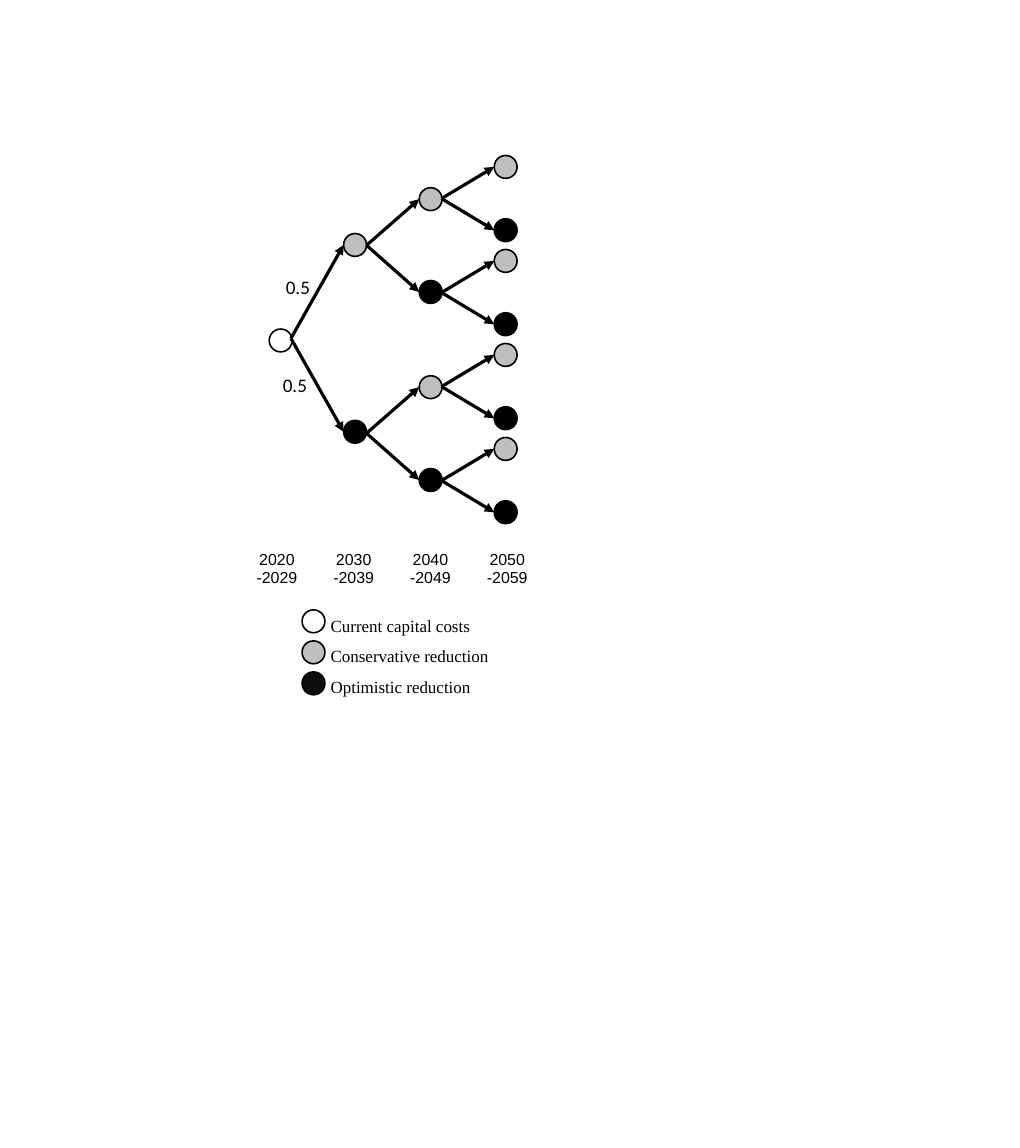
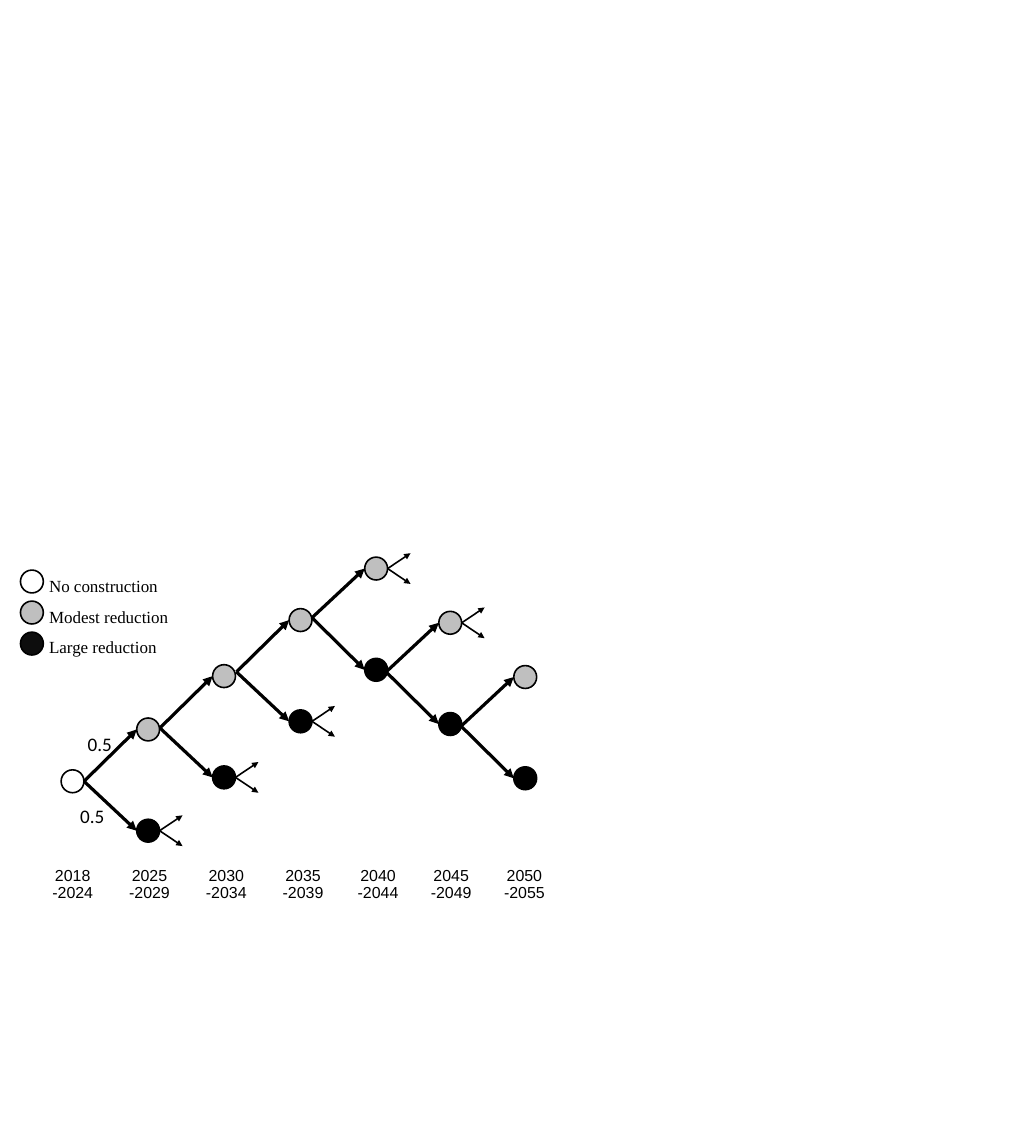
import dataclasses

import lxml.etree
import pptx
import pptx.dml.color
import pptx.enum.shapes
import pptx.enum.text
import pptx.oxml.ns
import pptx.util

Cm = pptx.util.Cm
Pt = pptx.util.Pt
RGB = pptx.dml.color.RGBColor


@dataclasses.dataclass(frozen=True)
class Theme:
    """Colours, fonts and sizes shared by both scenario trees."""
    ink: RGB = RGB(0, 0, 0)
    grey: RGB = RGB(0xBF, 0xBF, 0xBF)
    legend_black: RGB = RGB(0x0D, 0x0D, 0x0D)
    period: tuple = ("Arial", Pt(15))
    legend: tuple = ("Times New Roman", Pt(16))
    chance: tuple = ("Calibri", Pt(18))
    thin: int = Pt(1.5)
    thick: int = Pt(3)


theme = Theme()

# Lengths in centimetres
NODE = 0.76          # diameter of a node
REACH = 2.13         # from the apex of a fork to the centres of its children
STUB = (0.76, 0.51)  # run and rise of the short continuation arrows
LEGEND_STEP = 1.03


def draw_node(shapes, x, y, fill):
    """Draw a round node centred on x, y; no fill leaves it hollow."""
    node = shapes.add_shape(
        pptx.enum.shapes.MSO_SHAPE.OVAL,
        Cm(x - NODE / 2), Cm(y - NODE / 2), Cm(NODE), Cm(NODE))
    node.shadow.inherit = False
    if fill is None:
        node.fill.background()
    else:
        node.fill.solid()
        node.fill.fore_color.rgb = fill
    node.line.color.rgb = theme.ink
    node.line.width = theme.thin


def draw_arrow(shapes, start, end, width):
    """Draw a straight arrow with a triangular head at its end."""
    arrow = shapes.add_connector(
        pptx.enum.shapes.MSO_CONNECTOR.STRAIGHT,
        Cm(start[0]), Cm(start[1]), Cm(end[0]), Cm(end[1]))
    arrow.line.color.rgb = theme.ink
    arrow.line.width = width
    qn = pptx.oxml.ns.qn
    outline = arrow._element.spPr.find(qn("a:ln"))
    lxml.etree.SubElement(outline, qn("a:tailEnd"), type="triangle")
    lxml.etree.SubElement(arrow._element.spPr, qn("a:effectLst"))


# A fork is: apex x, apex y, rise to the grey child, drop to the black child,
# and which child (if any) carries continuation arrows.
cost_forks = [(9.66, 11.23, 3.1, 3.1, None)]
cost_forks += [(12.17, y, 1.53, 1.55, None) for y in (8.14, 14.38)]
cost_forks += [(14.66, 6.59 + 3.12 * i, 1.05, 1.05, None) for i in range(4)]

construction_forks = [(x, y, 1.72, 1.64, "black")
                      for x, y in ((2.79, 25.93), (5.31, 24.16), (7.85, 22.3))]
construction_forks += [(x, y, 1.63, 1.73, stubs)
                       for x, y, stubs in ((10.36, 20.5, "grey"),
                                           (12.82, 22.3, "grey"),
                                           (15.31, 24.1, None))]

trees = [
    {
        "root": (9.32, 11.3),
        "forks": cost_forks,
        "chances": [(9.24, 9.02), (9.14, 12.27)],
        "periods": ["2020-2029", "2030-2039", "2040-2049", "2050-2059"],
        "periods_at": (7.92, 18.16),
        "column_widths": [2.55] * 4,
        "legend": ["Current capital costs", "Conservative reduction",
                   "Optimistic reduction"],
        "legend_at": (10.41, 20.62),
        "legend_width": 5.84,
    },
    {
        "root": (2.41, 25.93),
        "forks": construction_forks,
        "chances": [(2.66, 24.18), (2.41, 26.57)],
        "periods": ["2018-2024", "2025-2029", "2030-2034", "2035-2039",
                    "2040-2044", "2045-2049", "2050-2055"],
        "periods_at": (1.14, 28.64),
        "column_widths": [2.55] * 4 + [2.43] * 3,
        "legend": ["No construction", "Modest reduction", "Large reduction"],
        "legend_at": (1.06, 19.3),
        "legend_width": 4.52,
    },
]

prs = pptx.Presentation()
prs.slide_height = Cm(38.1)
prs.slide_width = prs.slide_height * 8 // 9

for tree in trees:
    shapes = prs.slides.add_slide(prs.slide_layouts[6]).shapes

    # Periods below the tree
    left, top = tree["periods_at"]
    widths = tree["column_widths"]
    periods = shapes.add_table(1, len(widths), Cm(left), Cm(top),
                               Cm(sum(widths)), Cm(1.52)).table
    periods.first_row = False
    periods.horz_banding = False
    for column, width in zip(periods.columns, widths):
        column.width = Cm(width)
    for cell, period in zip(periods.rows[0].cells, tree["periods"]):
        cell.fill.background()
        cell.text = period.replace("-", "\n-")
        for line in cell.text_frame.paragraphs:
            line.alignment = pptx.enum.text.PP_ALIGN.CENTER
            line.font.name, line.font.size = theme.period
            line.font.color.rgb = theme.ink

    # Legend entries and branch probabilities
    x, y = tree["legend_at"]
    for i, fill in enumerate((None, theme.grey, theme.legend_black)):
        draw_node(shapes, x, y + i * LEGEND_STEP, fill)
    captions = [("\n".join(tree["legend"]), theme.legend, 1.5,
                 (x + 0.32, y - 0.66, tree["legend_width"], 3.2))]
    captions += [("0.5", theme.chance, None, (*place, 1.32, 1.02))
                 for place in tree["chances"]]
    for wording, (font_name, font_size), spacing, box in captions:
        frame = shapes.add_textbox(*map(Cm, box)).text_frame
        frame.text = wording
        frame.word_wrap = False
        frame.auto_size = pptx.enum.text.MSO_AUTO_SIZE.SHAPE_TO_FIT_TEXT
        for line in frame.paragraphs:
            line.line_spacing = spacing
            line.font.name, line.font.size = font_name, font_size
            line.font.color.rgb = theme.ink

    # The tree itself: a root, then one group per fork
    draw_node(shapes, *tree["root"], None)
    for x, y, rise, drop, stubs in tree["forks"]:
        fork = shapes.add_group_shape().shapes
        child_x = x + REACH
        for kind, child_y, fill in (("grey", y - rise, theme.grey),
                                    ("black", y + drop, theme.ink)):
            draw_arrow(fork, (x, y), (child_x - NODE / 2, child_y), theme.thick)
            draw_node(fork, child_x, child_y, fill)
            if kind == stubs:
                edge = child_x + NODE / 2
                for direction in (-1, 1):
                    tip = (edge + STUB[0], child_y + direction * STUB[1])
                    draw_arrow(fork, (edge, child_y), tip, theme.thin)

prs.save("out.pptx")
